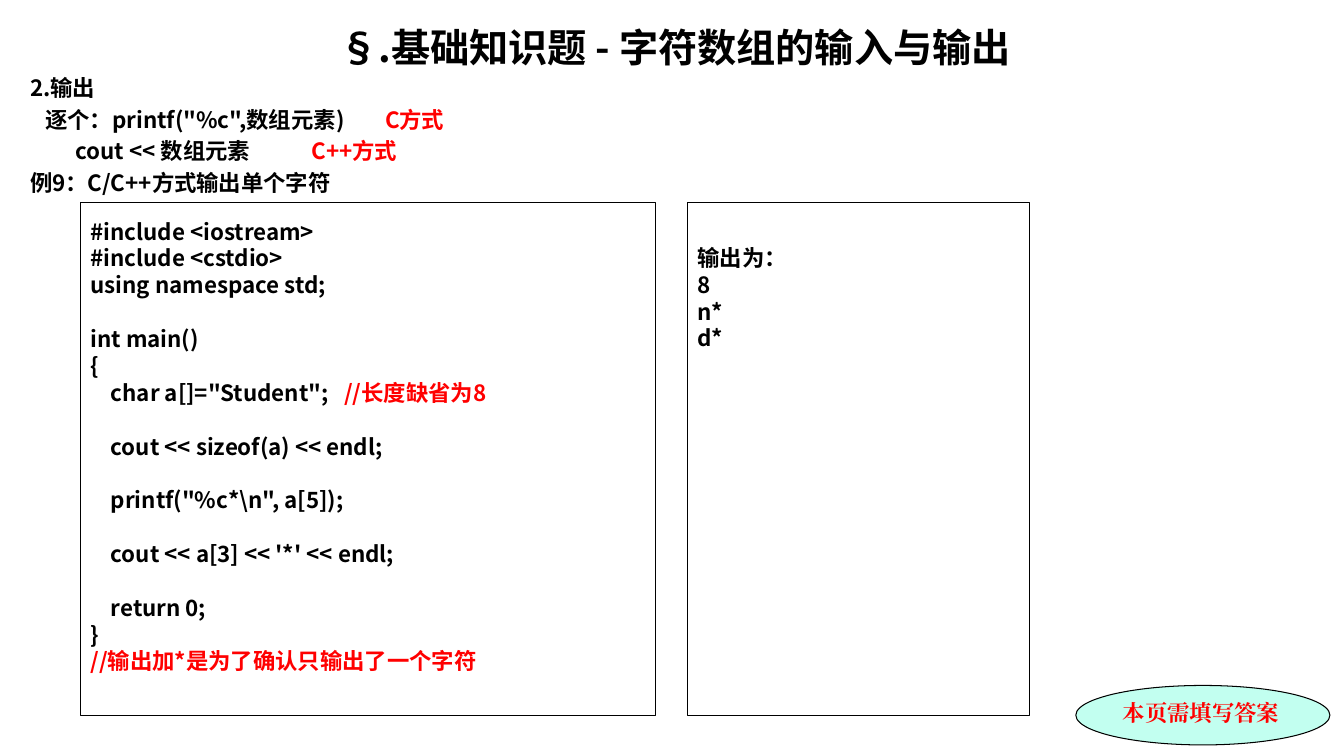
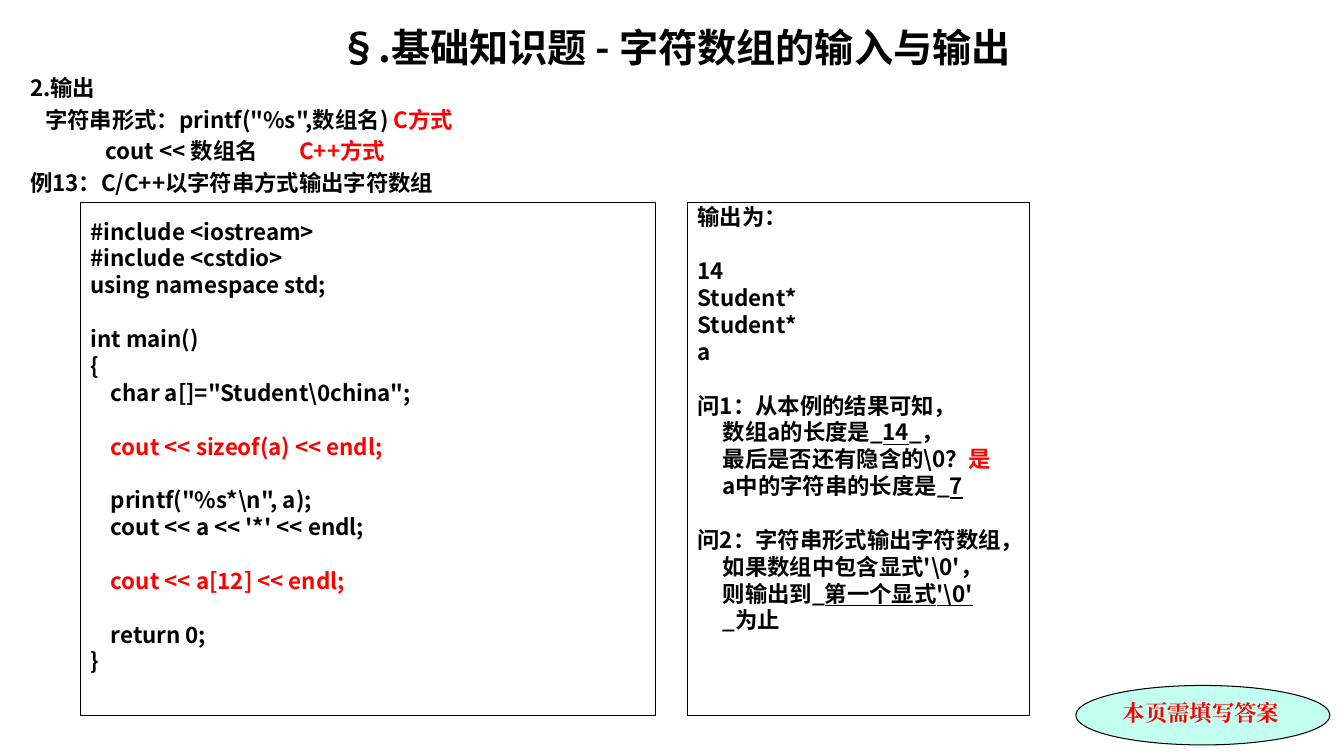
import pptx
import pptx.dml.color
import pptx.enum.shapes
import pptx.enum.text
import pptx.oxml.ns
import pptx.util
from lxml import etree

Inches, Pt = pptx.util.Inches, pptx.util.Pt
RGBColor = pptx.dml.color.RGBColor
MSO_SHAPE = pptx.enum.shapes.MSO_SHAPE
MSO_ANCHOR = pptx.enum.text.MSO_ANCHOR
PP_ALIGN = pptx.enum.text.PP_ALIGN
qn = pptx.oxml.ns.qn

BLACK = RGBColor(0x00, 0x00, 0x00)
RED = RGBColor(0xFF, 0x00, 0x00)
MINT = RGBColor(0xC2, 0xFF, 0xF0)
SANS, SERIF = "Noto Sans CJK SC", "Times New Roman"
TITLE_SIZE, BODY_SIZE = 28, 16
LEADING = 1.2
LINE = BODY_SIZE * LEADING
HEADING_GAP = BODY_SIZE * 0.2

HEADING_AT = (0.2, 0.18, 12.99, 7.09)
CODE_AT = (0.8, 2.01, 5.7, 5.09)
OUTPUT_AT = (6.82, 2.01, 3.39, 5.09)
BADGE_AT = (10.67, 6.8, 2.52, 0.59)
CODE_INSET = 0.15
QUESTION_TABS = (0.25,)


def red(text):
    return text, RED, False


def answer(text):
    """An underlined fill-in."""
    return text, BLACK, True


# A line is a string or a list of pieces; an empty line is a gap of one line.
TITLE = "§.基础知识题 - 字符数组的输入与输出"
SECTION = "2.输出"
BADGE = "本页需填写答案"
PROLOGUE = ["#include <iostream>", "#include <cstdio>", "using namespace std;",
            "", "int main()", "{"]
EPILOGUE = ["", "    return 0;", "}"]

SLIDES = [
    {
        "methods": [
            (["\t逐个：printf(\"%c\",数组元素)\t", red("C方式")], (0.15, 3.52)),
            (["\tcout << 数组元素\t", red("C++方式")], (0.45, 2.79)),
        ],
        "example": "例9：C/C++方式输出单个字符",
        "code": PROLOGUE + [
            ["    char a[]=\"Student\";   ", red("//长度缺省为8")],
            "",
            "    cout << sizeof(a) << endl;",
            "",
            "    printf(\"%c*\\n\", a[5]);",
            "",
            "    cout << a[3] << '*' << endl;",
        ] + EPILOGUE + [[red("//输出加*是为了确认只输出了一个字符")]],
        "output": ["输出为：", "8", "n*", "d*"],
        "output_inset": 0.41,
    },
    {
        "methods": [
            (["\t字符串形式：printf(\"%s\",数组名) ", red("C方式")], (0.15,)),
            (["\tcout << 数组名\t", red("C++方式")], (0.75, 2.67)),
        ],
        "example": "例13：C/C++以字符串方式输出字符数组",
        "code": PROLOGUE + [
            "    char a[]=\"Student\\0china\";",
            "",
            [red("    cout << sizeof(a) << endl;")],
            "",
            "    printf(\"%s*\\n\", a);",
            "    cout << a << '*' << endl;",
            "",
            [red("    cout << a[12] << endl;")],
        ] + EPILOGUE,
        "output": [
            "输出为：", "", "14", "Student*", "Student*", "a", "",
            "问1：从本例的结果可知，",
            ["\t数组a的长度是_", answer("14"), "_，"],
            ["\t最后是否还有隐含的\\0？", red("是")],
            ["\ta中的字符串的长度是_", answer("7")],
            "",
            "问2：字符串形式输出字符数组，",
            "\t如果数组中包含显式'\\0'，",
            ["\t则输出到_", answer("第一个显式'\\0'")],
            [answer("\t"), "_为止"],
        ],
        "output_inset": 0.01,
    },
]


def write_line(paragraph, line, tabs=(), size=BODY_SIZE, before=0,
               align=PP_ALIGN.LEFT, face=SANS):
    if tabs:
        stops = etree.SubElement(paragraph._p.get_or_add_pPr(), qn("a:tabLst"))
        for stop in tabs:
            etree.SubElement(stops, qn("a:tab"), pos=str(Inches(stop)), algn="l")
    paragraph.alignment = align
    paragraph.line_spacing = Pt(size * LEADING)
    if before:
        paragraph.space_before = Pt(before)
    for piece in [line] if isinstance(line, str) else line:
        text, color, underline = (piece, BLACK, False) if isinstance(piece, str) else piece
        run = paragraph.add_run()
        run.text = text
        font = run.font
        font.size, font.bold, font.underline = Pt(size), True, underline
        font.color.rgb = color
        font.name = face
        etree.SubElement(run._r.get_or_add_rPr(), qn("a:ea"), typeface=face)


def next_paragraph(frame, is_first):
    return frame.paragraphs[0] if is_first else frame.add_paragraph()


def add_heading(slide, methods, example):
    frame = slide.shapes.add_textbox(*map(Inches, HEADING_AT)).text_frame
    frame.word_wrap = True
    write_line(frame.paragraphs[0], TITLE, size=TITLE_SIZE, align=PP_ALIGN.CENTER)
    for line, tabs in [(SECTION, ()), *methods, (example, ())]:
        write_line(frame.add_paragraph(), line, tabs, before=HEADING_GAP)


def add_outlined(slide, kind, at):
    shape = slide.shapes.add_shape(kind, *map(Inches, at))
    shape.shadow.inherit = False
    shape.fill.background()
    shape.line.color.rgb = BLACK
    shape.line.width = Pt(0.75)
    shape.text_frame.vertical_anchor = MSO_ANCHOR.TOP
    return shape


def add_listing(slide, at, lines, inset, tabs=()):
    frame = add_outlined(slide, MSO_SHAPE.RECTANGLE, at).text_frame
    frame.word_wrap = False
    frame.margin_top = Inches(inset)
    gap = 0
    for number, line in enumerate(lines):
        if not line:
            gap += LINE
            continue
        write_line(next_paragraph(frame, number == 0), line, tabs, before=gap)
        gap = 0


def add_badge(slide):
    badge = add_outlined(slide, MSO_SHAPE.OVAL, BADGE_AT)
    badge.fill.solid()
    badge.fill.fore_color.rgb = MINT
    badge.text_frame.word_wrap = True
    write_line(badge.text_frame.paragraphs[0], [red(BADGE)], face=SERIF)


def main():
    deck = pptx.Presentation()
    deck.slide_width, deck.slide_height = Inches(13.33), Inches(7.5)
    for content in SLIDES:
        slide = deck.slides.add_slide(deck.slide_layouts[6])
        add_heading(slide, content["methods"], content["example"])
        add_badge(slide)
        add_listing(slide, CODE_AT, content["code"], CODE_INSET)
        add_listing(slide, OUTPUT_AT, content["output"], content["output_inset"],
                    QUESTION_TABS)
    deck.save("out.pptx")


if __name__ == "__main__":
    main()
